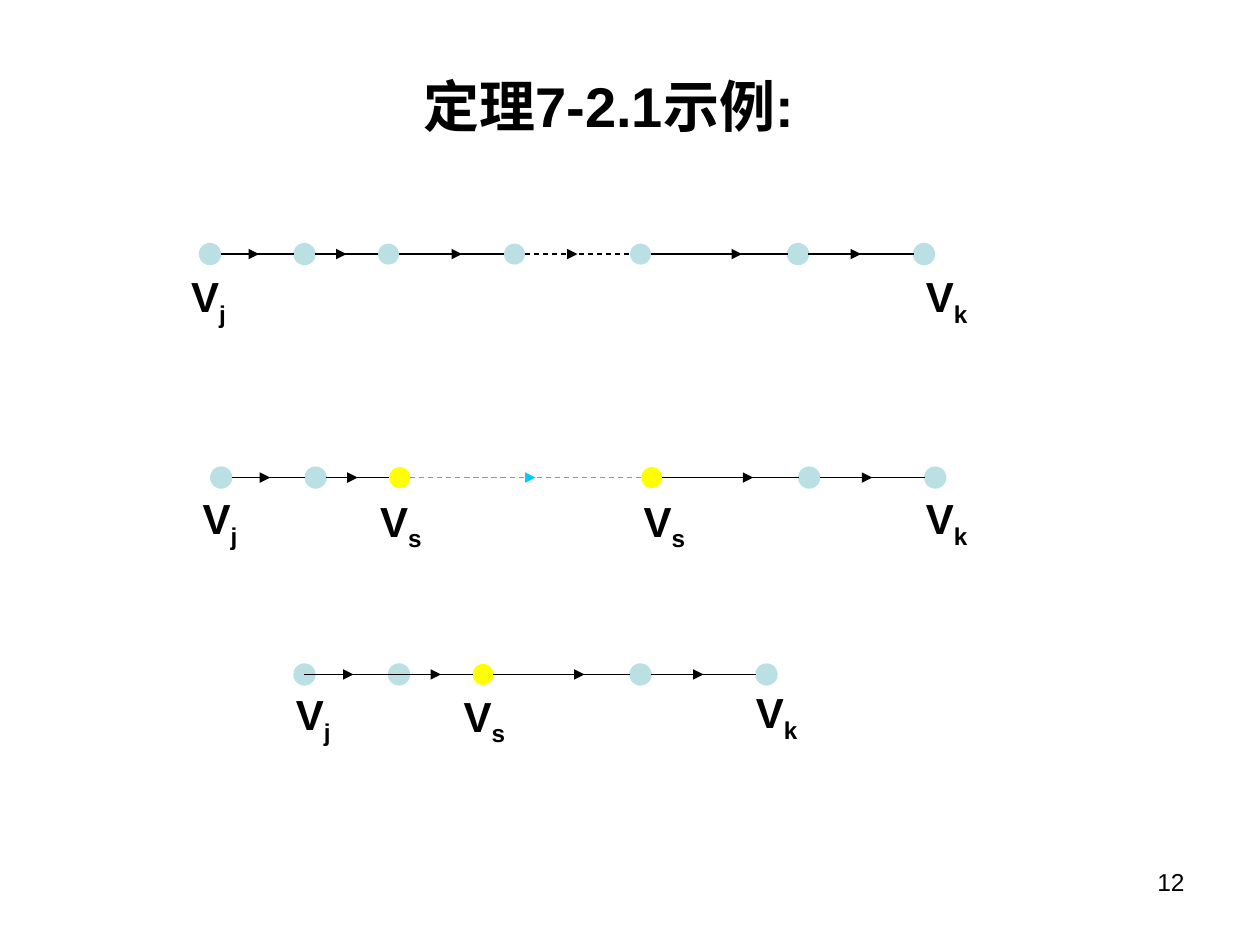
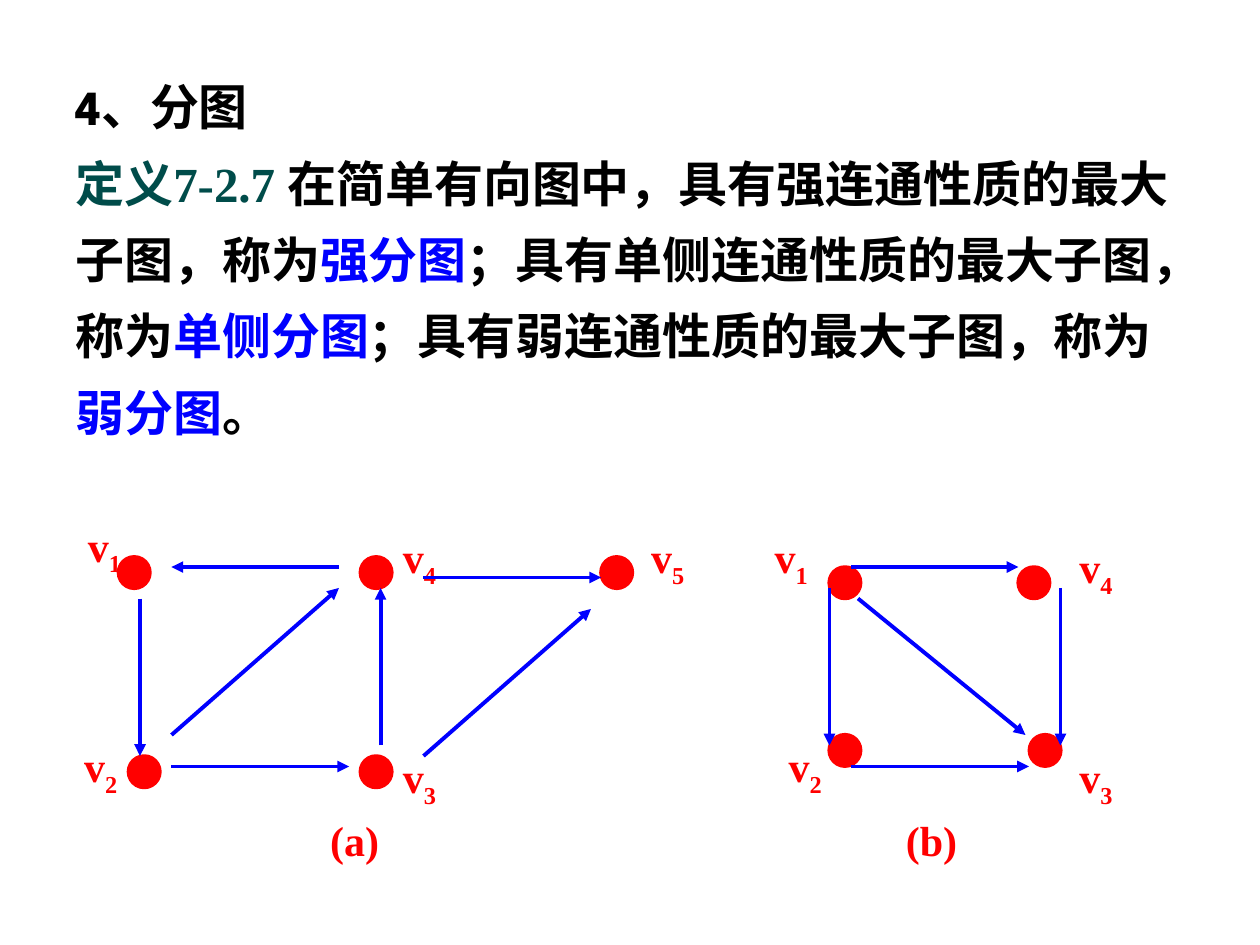
from itertools import pairwise

from pptx import Presentation
from pptx.dml.color import RGBColor
from pptx.enum.dml import MSO_LINE
from pptx.enum.shapes import MSO_CONNECTOR, MSO_SHAPE
from pptx.enum.text import MSO_ANCHOR, PP_ALIGN
from pptx.oxml.ns import qn
from pptx.util import Pt
from lxml.etree import SubElement

BLACK = RGBColor(0x00, 0x00, 0x00)
PALE = RGBColor(0xBB, 0xE0, 0xE3)
YELLOW = RGBColor(0xFF, 0xFF, 0x00)
CYAN = RGBColor(0x00, 0xCC, 0xFF)
RED = RGBColor(0xFF, 0x00, 0x00)
BLUE = RGBColor(0x00, 0x00, 0xFF)
TEAL = RGBColor(0x00, 0x4C, 0x4A)
SANS, SERIF, HEAVY = "Arial", "Times New Roman", "League Spartan"


def add_text(page, bounds, paragraphs, size, align=PP_ALIGN.LEFT, bold=True, spacing=1.0):
    """Each paragraph is a list of spans: text, font, colour and "sub" for a subscript."""
    frame = page.shapes.add_textbox(*map(Pt, bounds)).text_frame
    frame.word_wrap = True
    for index, spans in enumerate(paragraphs):
        para = frame.add_paragraph() if index else frame.paragraphs[0]
        para.alignment = align
        para.line_spacing = spacing
        for text, font, colour, *sub in spans:
            span = para.add_run()
            span.text = text
            span.font.name = font
            span.font.size = Pt(size)
            span.font.bold = bold
            span.font.color.rgb = colour
            if sub:
                span.font._element.set("baseline", "-25000")
    return frame


def add_line(page, start, end, colour, width, arrow=False, dashed=False):
    line = page.shapes.add_connector(MSO_CONNECTOR.STRAIGHT, *map(Pt, start + end))
    line.line.color.rgb = colour
    line.line.width = Pt(width)
    if dashed:
        line.line.dash_style = MSO_LINE.DASH
    if arrow:
        SubElement(line.line._get_or_add_ln(), qn("a:tailEnd"), type="triangle")
    SubElement(line._element.spPr, qn("a:effectLst"))


deck = Presentation()
deck.slide_width, deck.slide_height = Pt(720), Pt(540)
paths_page, parts_page = [deck.slides.add_slide(deck.slide_layouts[6]) for _ in range(2)]

# Paths: height, vertex centres, arrow tips, yellow vertices, vertices without
# outline, dashed edge with its colour, and how many vertices the line crosses
paths = [
    (145.2, [120, 174, 222, 294, 366, 456, 528], [148, 198, 264, 330, 424, 492],
     [], [2, 3, 4], 3, BLACK, 0),
    (272.9, [126.4, 180.4, 228.4, 372.4, 462.4, 534.4], [154.4, 204.4, 306, 430.4, 498.4],
     [2, 3], [2, 3], 2, CYAN, 0),
    (385.4, [174, 228, 276, 366, 438], [202, 252, 334, 402],
     [2], [2], None, BLACK, 2),
]
# Vertices of graphs (a) and (b)
graph_vertices = [
    (76.7, 327.2), (214.9, 327.2), (352.4, 327.2), (82.4, 441), (214.9, 441),
    (482.8, 333), (590.8, 333), (482.8, 428.8), (597.2, 428.8),
]

dots = [(parts_page, x, y, 18, RED, 2) for x, y in graph_vertices]
for y, centres, _, yellow, plain, *_ in paths:
    for index, x in enumerate(centres):
        colour = YELLOW if index in yellow else PALE
        dots.append((paths_page, x, y, 12, colour, 0 if index in plain else 0.75))

for page, x, y, size, colour, outline in dots:
    corner = x - size / 2, y - size / 2
    dot = page.shapes.add_shape(MSO_SHAPE.OVAL, *map(Pt, (*corner, size, size)))
    dot.shadow.inherit = False
    dot.fill.solid()
    dot.fill.fore_color.rgb = colour
    if outline:
        dot.line.color.rgb = colour
        dot.line.width = Pt(outline)
    else:
        dot.line.fill.background()

# Slide 1: shortening a path
title = add_text(paths_page, (41.8, 37.4, 612, 45.4), [[("定理7-2.1示例:", SANS, BLACK)]],
                 32, PP_ALIGN.CENTER)
title.vertical_anchor = MSO_ANCHOR.MIDDLE
add_text(paths_page, (516.2, 491.8, 167.8, 37.4), [[("12", SANS, BLACK)]],
         14, PP_ALIGN.RIGHT, bold=False)

for y, centres, tips, _, _, dashed_edge, dashed_colour, crossed in paths:
    for edge, (left, right) in enumerate(pairwise(centres)):
        dashed = edge == dashed_edge
        colour = dashed_colour if dashed else BLACK
        start = left if edge < crossed else left + 6
        end = right if edge + 1 < crossed else right - 6
        add_line(paths_page, (start, y), (end, y), colour, 0.75, dashed=dashed)
        add_line(paths_page, (tips[edge] - 6, y), (tips[edge], y), colour, 0.75, arrow=True)

path_labels = [
    ("j", 102.2, 151.2), ("k", 522, 151.2),
    ("j", 108.7, 277.9), ("s", 210.2, 279.4), ("s", 360.7, 279.4), ("k", 522, 277.9),
    ("j", 162, 390.2), ("s", 257.8, 391), ("k", 424.8, 388.8),
]
for index, left, top in path_labels:
    add_text(paths_page, (left, top, 66, 40.3),
             [[("V", SANS, BLACK), (index, SANS, BLACK, "sub")]], 24)

# Slide 2: components of a directed graph
definition = [
    ("定义7-2.7 ", SERIF, TEAL),
    ("在简单有向图中，具有强连通性质的最大子图，称为", HEAVY, BLACK),
    ("强分图", SERIF, BLUE),
    ("；具有单侧连通性质的最大子图，称为", HEAVY, BLACK),
    ("单侧分图", SERIF, BLUE),
    ("；具有弱连通性质的最大子图，称为", HEAVY, BLACK),
    ("弱分图", SERIF, BLUE),
    ("。", HEAVY, BLACK),
]
add_text(parts_page, (36, 30.2, 653.8, 229), [[("4、分图", HEAVY, BLACK)], definition],
         28, spacing=1.3)

vertex_labels = [
    ("1", 39.6, 293.8), ("4", 219.6, 300.2), ("5", 361.4, 300.2),
    ("2", 37.4, 419.8), ("3", 219.6, 426.2),
    ("1", 432, 300.2), ("4", 606.2, 306), ("2", 440, 419.8), ("3", 606.2, 426.2),
]
for index, left, top in vertex_labels:
    add_text(parts_page, (left, top, 40.3, 40.3),
             [[("v", SERIF, RED), (index, SERIF, RED, "sub")]], 24, PP_ALIGN.CENTER)
for caption, left, width in [("(a)", 139.7, 126), ("(b)", 454.3, 156)]:
    add_text(parts_page, (left, 462.2, width, 36), [[(caption, SERIF, RED)]],
             24, PP_ALIGN.CENTER)

arrows = [
    ((80, 342), (80, 432)), ((217.5, 426), (217.5, 336)), ((98, 438), (199.5, 438)),
    ((193.7, 324), (98, 324)), ((242, 330), (343.5, 330)),
    ((98, 420), (193.7, 336)), ((242, 432), (337.7, 348)),
    ((474, 336), (474, 426)), ((606, 336), (606, 426)), ((486, 438), (588, 438)),
    ((486, 324), (582, 324)), ((490.3, 342), (586, 420)),
]
for start, end in arrows:
    add_line(parts_page, start, end, BLUE, 2.25, arrow=True)

deck.save("out.pptx")
